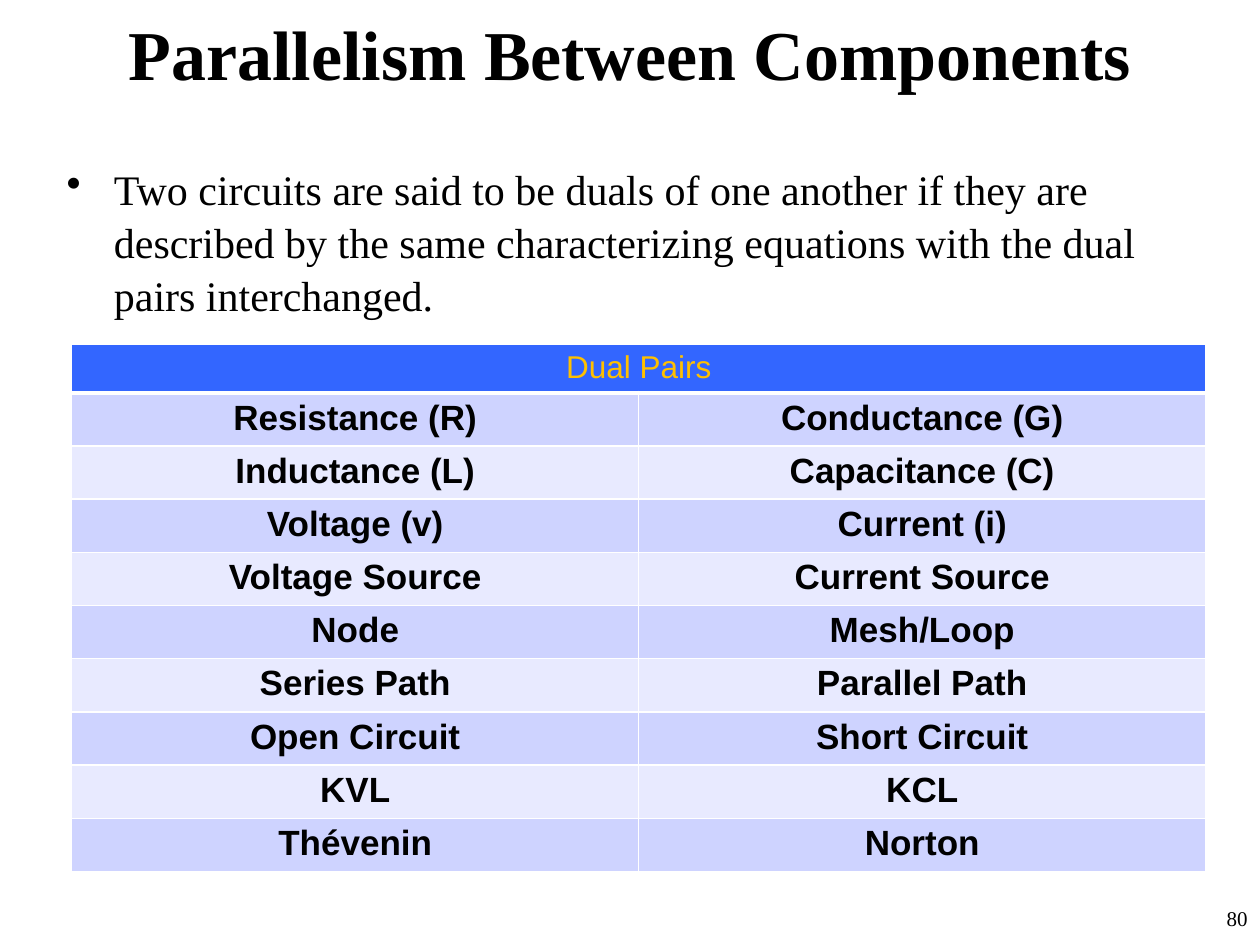
from pptx import Presentation
from pptx.dml.color import RGBColor
from pptx.enum.text import MSO_ANCHOR, PP_ALIGN
from pptx.oxml import parse_xml
from pptx.oxml.ns import nsdecls
from pptx.util import Pt

COLORS = {
    "ink": "000000",
    "gold": "FFC000",
    "head": "3366FF",
    "dark": "CED3FF",
    "light": "E8EAFF",
    "rule": "FFFFFF",
}
SERIF, SANS = "Times New Roman", "Arial"
PAIRS = [
    ("Resistance (R)", "Conductance (G)"),
    ("Inductance (L)", "Capacitance (C)"),
    ("Voltage (v)", "Current (i)"),
    ("Voltage Source", "Current Source"),
    ("Node", "Mesh/Loop"),
    ("Series Path", "Parallel Path"),
    ("Open Circuit", "Short Circuit"),
    ("KVL", "KCL"),
    ("Thévenin", "Norton"),
]


def write(frame, text, size=20, font=SERIF, color="ink", bold=False,
          align=PP_ALIGN.LEFT, before=0, line=None):
    """Put one formatted paragraph in a text frame and return it."""
    para = frame.paragraphs[0]
    para.alignment = align
    para.space_before = Pt(before)
    if line:
        para.line_spacing = line
    run = para.add_run()
    run.text = text
    run.font.size = Pt(size)
    run.font.name = font
    run.font.bold = bold
    run.font.color.rgb = RGBColor.from_string(COLORS[color])
    return para


class Deck:
    def __init__(self):
        self.prs = Presentation()
        self.prs.slide_width, self.prs.slide_height = Pt(720), Pt(540)
        self.slide = self.prs.slides.add_slide(self.prs.slide_layouts[6])

    def text(self, text, x, y, w, h, anchor=MSO_ANCHOR.TOP, **style):
        box = self.slide.shapes.add_textbox(Pt(x), Pt(y), Pt(w), Pt(h))
        frame = box.text_frame
        frame.word_wrap = True
        frame.vertical_anchor = anchor
        return write(frame, text, **style)

    def bullet(self, text, x, y, w, h, indent=27, **style):
        props = self.text(text, x, y, w, h, **style)._p.get_or_add_pPr()
        props.set("marL", str(Pt(indent)))
        props.set("indent", str(-Pt(indent)))
        props.append(parse_xml(f'<a:buChar {nsdecls("a")} char="•"/>'))

    def cell(self, cell, text, fill, base=1, **style):
        cell.margin_top = cell.margin_bottom = Pt(3.2)
        write(cell.text_frame, text, font=SANS, align=PP_ALIGN.CENTER, **style)
        # Borders go before the fill
        props = cell._tc.get_or_add_tcPr()
        for side, width in (("L", 1), ("R", 1), ("T", 1), ("B", base)):
            props.append(parse_xml(
                f'<a:ln{side} {nsdecls("a")} w="{Pt(width)}"><a:solidFill>'
                f'<a:srgbClr val="{COLORS["rule"]}"/></a:solidFill></a:ln{side}>'))
        cell.fill.solid()
        cell.fill.fore_color.rgb = RGBColor.from_string(COLORS[fill])

    def table(self, title, pairs, x, y, w, top=27, row=29.5):
        high = top + row * len(pairs)
        grid = self.slide.shapes.add_table(
            len(pairs) + 1, 2, Pt(x), Pt(y), Pt(w), Pt(high)).table
        for i, line in enumerate(grid.rows):
            line.height = Pt(row if i else top)
        # Heading across both columns
        grid.cell(0, 0).merge(grid.cell(0, 1))
        self.cell(grid.cell(0, 0), title, "head", base=3, size=18, color="gold")
        # Banded rows
        for i, pair in enumerate(pairs, 1):
            for j, word in enumerate(pair):
                self.cell(grid.cell(i, j), word, "dark" if i % 2 else "light",
                          bold=True)


def main():
    deck = Deck()
    # Title and definition
    deck.text("Parallelism Between Components", 0, 0, 720, 60.5,
              anchor=MSO_ANCHOR.MIDDLE, size=40, bold=True,
              align=PP_ALIGN.CENTER)
    deck.bullet("Two circuits are said to be duals of one another if they are "
                "described by the same characterizing equations with the dual "
                "pairs interchanged.", 31, 88.5, 657, 425.5,
                size=24, before=4.8, line=1.05)
    # Dual pairs
    deck.table("Dual Pairs", PAIRS, 41, 196.5, 648)
    # Page number
    deck.text("80", 570, 514, 150, 26, size=12, align=PP_ALIGN.RIGHT, before=6)
    deck.prs.save("out.pptx")


if __name__ == "__main__":
    main()
